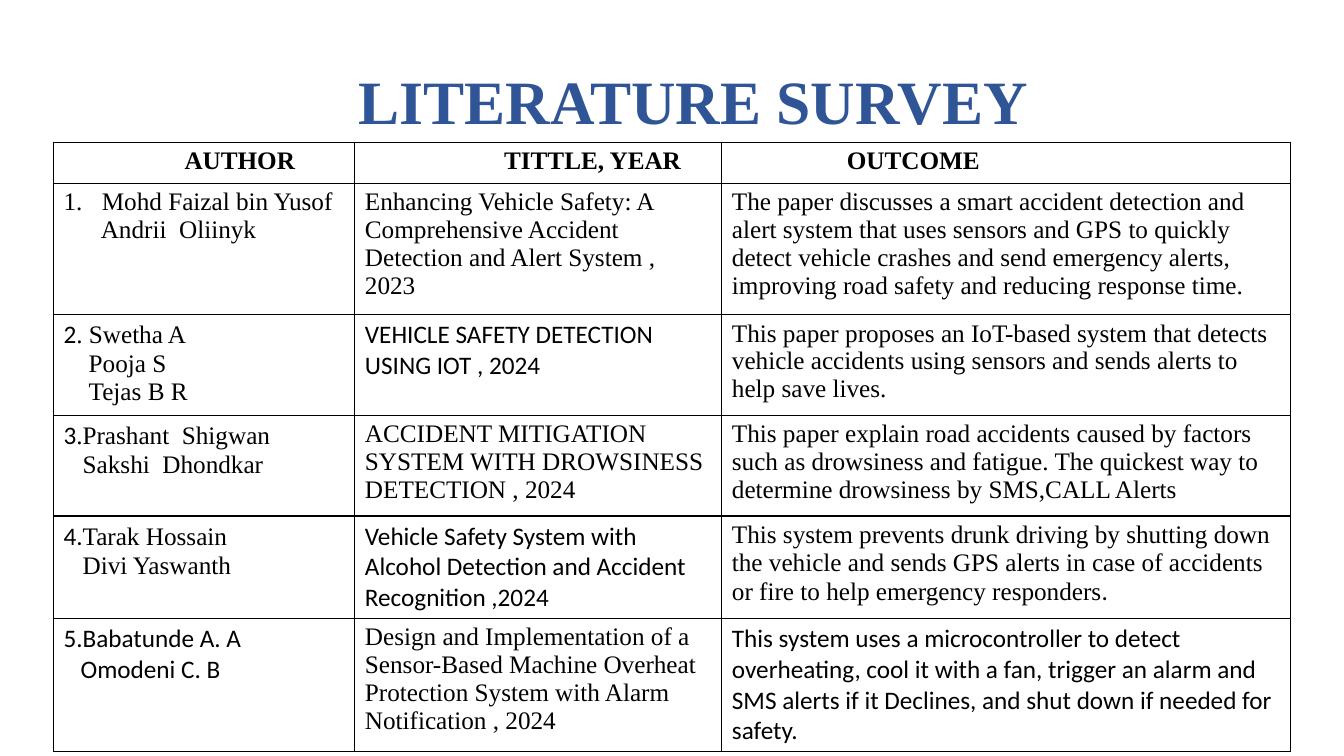
from dataclasses import dataclass

from lxml.etree import SubElement
from pptx import Presentation
from pptx.dml.color import RGBColor as Rgb
from pptx.enum.text import MSO_ANCHOR as Anchor, PP_ALIGN as Align
from pptx.oxml import parse_xml
from pptx.oxml.ns import nsdecls, qn
from pptx.util import Pt

SCALE = 9144
COLORS = {"title": "2F5597", "ink": "000000"}
SERIF, SANS = "Times New Roman", "Calibri"
TITLE = {"name": SERIF, "size": Pt(44), "bold": True}
HEAD = {"size": Pt(18), "bold": True}
BODY = {"size": Pt(18), "bold": False}
WIDTHS = (299, 364, 564)
HEIGHTS = (41, 130, 100, 100, 100, 130)


@dataclass
class Run:
    text: str
    font: str = SERIF


@dataclass
class Line:
    runs: list[Run]
    left: int = 0
    hang: int = 0


def px(size: int) -> int:
    return size * SCALE


def serif(text: str, left: int = 0, hang: int = 0) -> list[Line]:
    return [Line([Run(text)], left, hang)]


def sans(text: str, left: int = 0) -> list[Line]:
    return [Line([Run(text, SANS)], left)]


def lead(mark: str, text: str) -> list[Line]:
    return [Line([Run(mark, SANS), Run(text)])]


ROWS = [
    [serif("AUTHOR", 120), serif("TITTLE, YEAR", 138), serif("OUTCOME", 114)],
    [
        serif("Mohd Faizal bin Yusof", 38, 38) + serif("Andrii  Oliinyk", 37),
        serif("Enhancing Vehicle Safety: A Comprehensive Accident Detection and Alert System , 2023"),
        serif("The paper discusses a smart accident detection and alert system that uses sensors "
              "and GPS to quickly detect vehicle crashes and send emergency alerts, improving "
              "road safety and reducing response time."),
    ],
    [
        lead("2", ". Swetha A") + serif("Pooja S", 25) + serif("Tejas B R", 25),
        sans("VEHICLE SAFETY DETECTION USING IOT , 2024"),
        serif("This paper proposes an IoT-based system that detects vehicle accidents using "
              "sensors and sends alerts to help save lives."),
    ],
    [
        lead("3", ".Prashant  Shigwan") + serif("Sakshi  Dhondkar", 19),
        serif("ACCIDENT MITIGATION SYSTEM WITH DROWSINESS DETECTION , 2024"),
        serif("This paper explain road accidents caused by factors such as drowsiness and "
              "fatigue. The quickest way to determine drowsiness by SMS,CALL Alerts"),
    ],
    [
        lead("4.", "Tarak Hossain") + serif("Divi Yaswanth", 19),
        sans("Vehicle Safety System with Alcohol Detection and Accident Recognition ,2024"),
        [Line([Run("This system prevents drunk driving by shutting down the vehicle and sends GPS "
                   "alerts in case of accidents or fire to help emergency responders"),
               Run(".", SANS)])],
    ],
    [
        sans("5.Babatunde A. A") + sans("Omodeni C. B", 17),
        serif("Design and Implementation of a Sensor-Based Machine Overheat Protection System "
              "with Alarm Notification , 2024"),
        sans("This system uses a microcontroller to detect overheating, cool it with a fan, "
             "trigger an alarm and SMS alerts if it Declines, and shut down if needed for safety."),
    ],
]


def style(font, look: dict, color: str) -> None:
    for key, value in look.items():
        setattr(font, key, value)
    font.color.rgb = Rgb.from_string(COLORS[color])


def write(frame, lines: list[Line], look: dict) -> None:
    for i, line in enumerate(lines):
        para = frame.paragraphs[0] if i == 0 else frame.add_paragraph()
        props = para._p.get_or_add_pPr()
        props.set("marL", str(px(line.left)))
        props.set("indent", str(-px(line.hang)))
        if line.hang:
            SubElement(props, qn("a:buFont"), typeface=SERIF)
            SubElement(props, qn("a:buAutoNum"), type="arabicPeriod")
        for part in line.runs:
            run = para.add_run()
            run.text = part.text
            style(run.font, {"name": part.font, **look}, "ink")


def border(cell) -> None:
    props = cell._tc.get_or_add_tcPr()
    for i, side in enumerate("LRTB"):
        props.insert(i, parse_xml(
            f'<a:ln{side} {nsdecls("a")} w="{Pt(1)}"><a:solidFill>'
            f'<a:srgbClr val="{COLORS["ink"]}"/></a:solidFill></a:ln{side}>'))


def head(slide) -> None:
    title = slide.shapes.title
    box = {"left": 81, "top": 57, "width": 1227, "height": 84}
    for key, value in box.items():
        setattr(title, key, px(value))
    frame = title.text_frame
    frame.text = "LITERATURE SURVEY "
    frame.vertical_anchor = Anchor.MIDDLE
    para = frame.paragraphs[0]
    para.alignment = Align.CENTER
    style(para.runs[0].font, TITLE, "title")


def grid(slide) -> None:
    frame = slide.shapes.add_table(len(ROWS), len(WIDTHS), px(53), px(141),
                                   px(sum(WIDTHS)), px(sum(HEIGHTS)))
    table = frame.table
    table.first_row = table.horz_banding = False
    for col, width in zip(table.columns, WIDTHS):
        col.width = px(width)
    for r, (row, height) in enumerate(zip(ROWS, HEIGHTS)):
        table.rows[r].height = px(height)
        for c, lines in enumerate(row):
            cell = table.cell(r, c)
            cell.fill.background()
            border(cell)
            write(cell.text_frame, lines, BODY if r else HEAD)


def main() -> None:
    deck = Presentation()
    deck.slide_width, deck.slide_height = px(1333), px(750)
    slide = deck.slides.add_slide(deck.slide_layouts[5])
    head(slide)
    grid(slide)
    deck.save("out.pptx")


if __name__ == "__main__":
    main()
